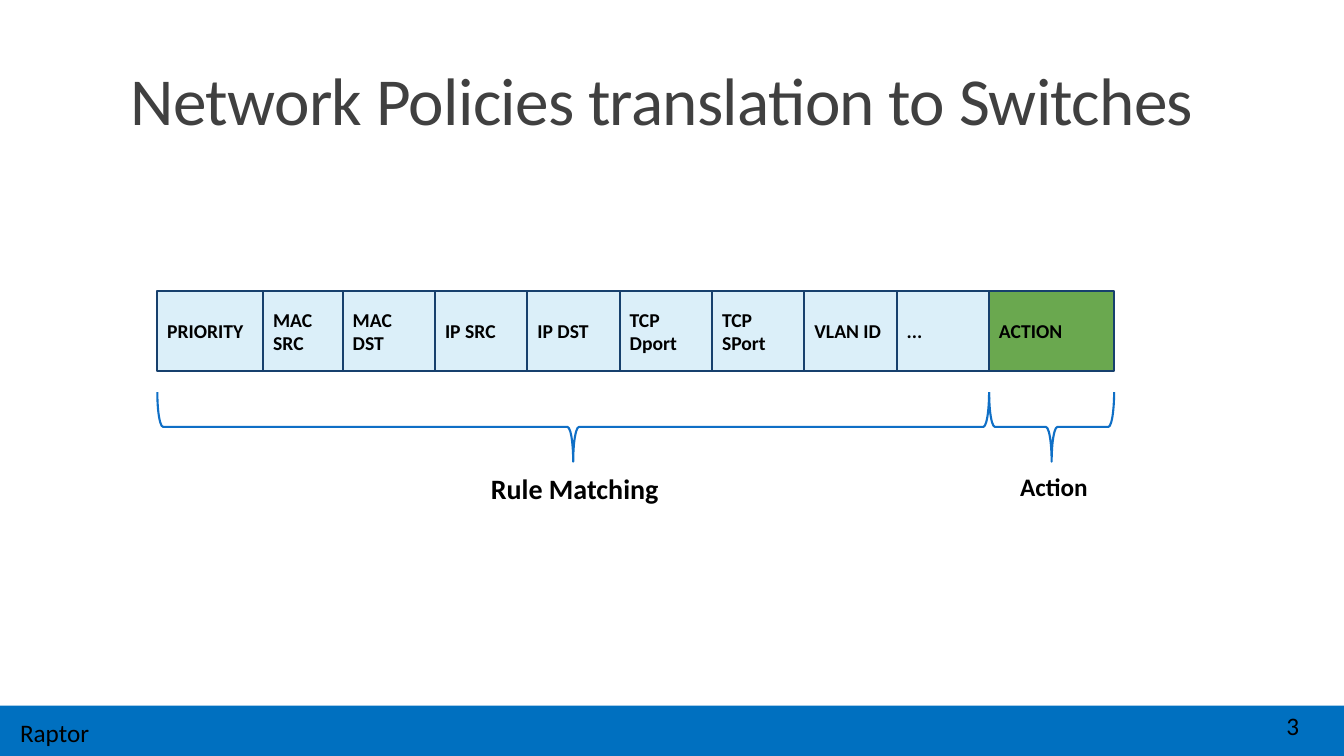
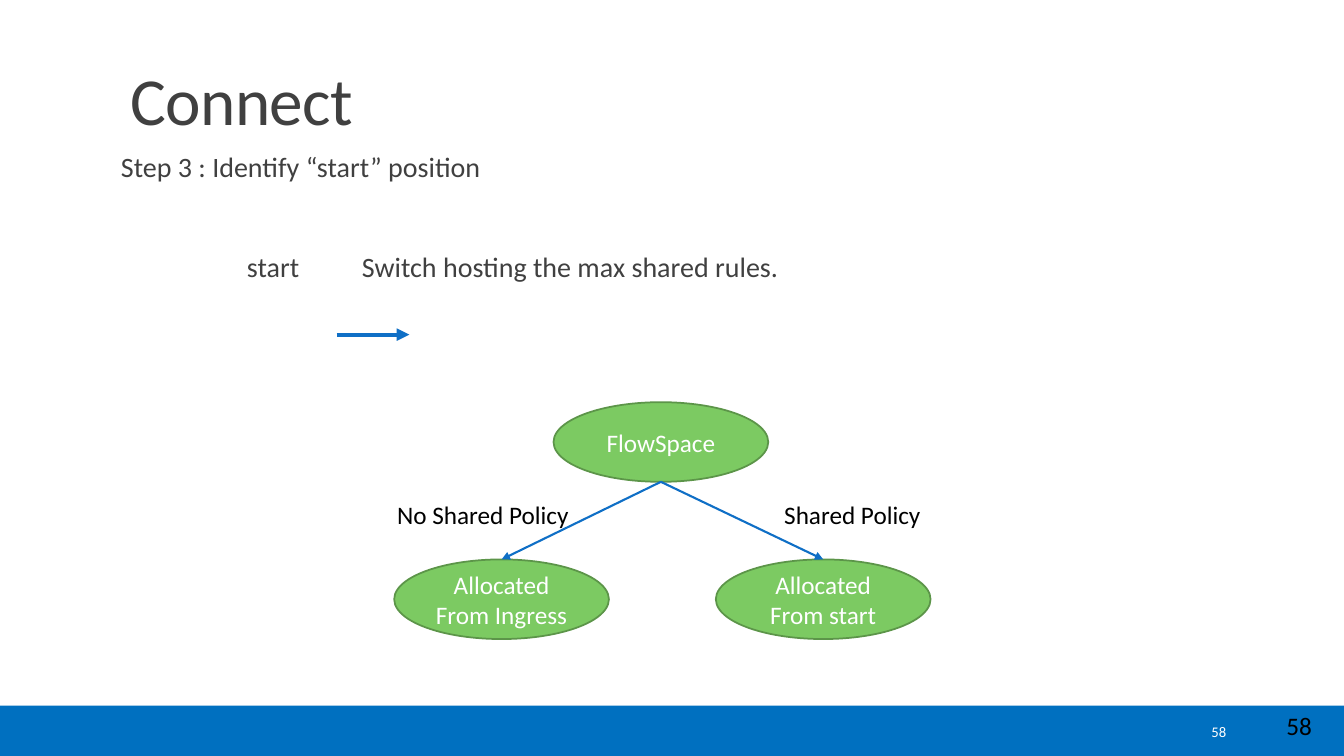
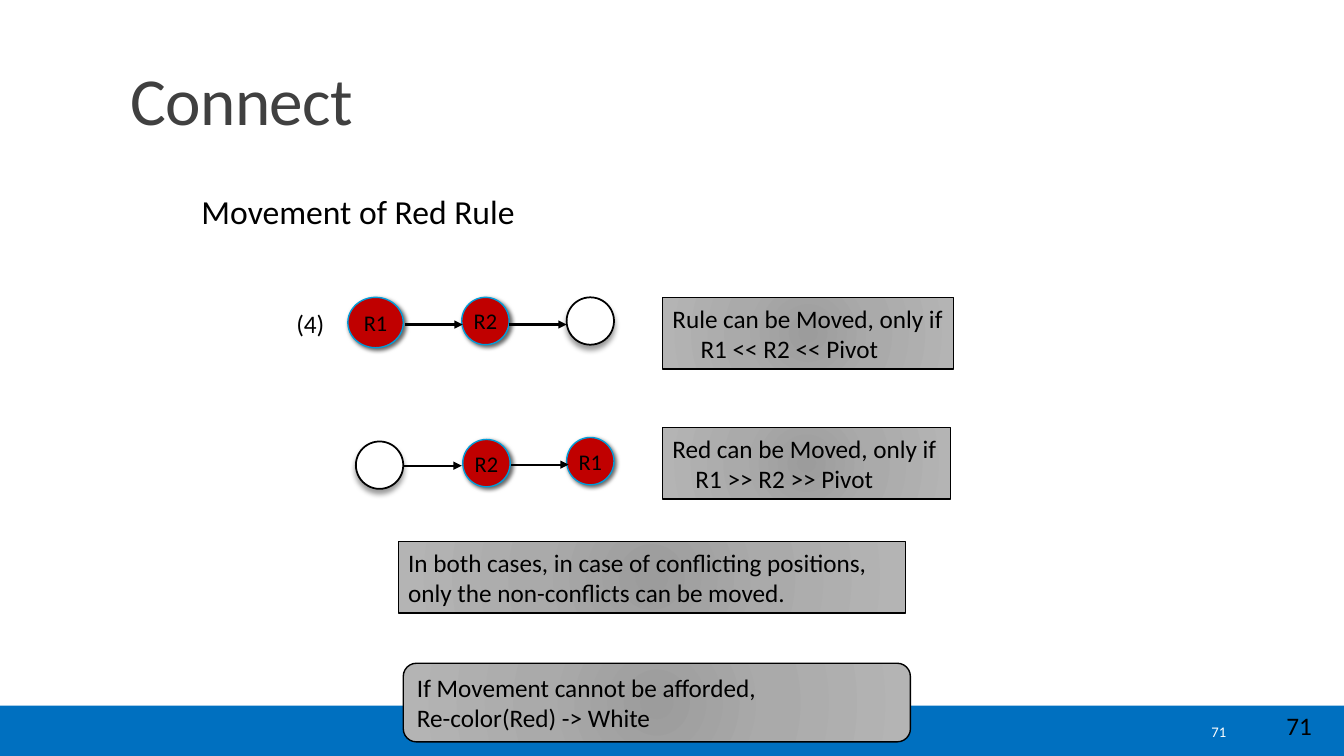
from pptx import Presentation
from pptx.dml.color import RGBColor
from pptx.enum.shapes import MSO_CONNECTOR, MSO_SHAPE
from pptx.enum.text import MSO_ANCHOR, PP_ALIGN
from pptx.oxml import parse_xml
from pptx.oxml.ns import nsdecls, qn
from pptx.util import Inches, Pt

# ---- Shared style ----
FONT = "Calibri"
COLORS = {
    "band": "0070C0", "title": "404040", "black": "000000", "white": "FFFFFF",
    "field": "DBEFF9", "action": "6AA84F", "field_line": "17406D", "blue": "0F6FC6",
    "node": "7CCA62", "node_line": "5C9549", "red": "C00000", "red_line": "009DD9",
}
NOTE_STOPS = [(0, "9C9C9C"), (45, "AAAAAA"), (100, "B4B4B4")]
# Shadow: opacity in percent, blur and distance in points, direction in degrees
RED_RULE = {"fill": "red", "line": "red_line", "width": 1, "shadow": (60, 3, 2, 45)}
WHITE_RULE = {"fill": "white", "line": "black", "width": 1.25, "shadow": (40, 4, 3, 90)}
MIDDLE = MSO_ANCHOR.MIDDLE
CENTER = PP_ALIGN.CENTER

# ---- Content: header fields ----
FIELD_LEFT, FIELD_TOP, FIELD_HEIGHT = 1.56, 2.89, 0.79
MATCH_RIGHT, ACTION_WIDTH = 9.81, 1.24
FIRST_WIDTHS = [1.05, 0.79]
MATCH_FIELDS = ["PRIORITY", "MAC SRC", "MAC DST", "IP SRC", "IP DST",
                "TCP Dport", "TCP SPort", "VLAN ID", "..."]
BRACES = [  # left, width, label, label left, size
    (FIELD_LEFT, MATCH_RIGHT - FIELD_LEFT, "Rule Matching", 4.77, 20),
    (MATCH_RIGHT, ACTION_WIDTH, "Action", 10.02, 18),
]
BRACE_TOP, BRACE_DEPTH = 3.89, 0.69

# ---- Content: allocation tree ----
NODE_SIZE = (2.13, 0.79)
ROOT = ("FlowSpace", 5.49, 3.99)
BRANCHES = [  # node, left, top, edge label, label left, label width
    ("Allocated From Ingress", 3.91, 5.55, "No Shared Policy", 3.84, 1.92),
    ("Allocated From start", 7.1, 5.55, "Shared Policy", 7.68, 1.57),
]

# ---- Content: rule movement ----
RULES = [  # label, style, left, top, width, height
    ("R1", RED_RULE, 3.45, 2.95, 0.55, 0.5),
    ("R2", RED_RULE, 4.58, 2.95, 0.47, 0.47),
    ("", WHITE_RULE, 5.62, 2.95, 0.47, 0.47),
    ("", WHITE_RULE, 3.53, 4.38, 0.47, 0.47),
    ("R2", RED_RULE, 4.59, 4.36, 0.47, 0.47),
    ("R1", RED_RULE, 5.62, 4.34, 0.47, 0.47),
]
MOVES = [(4.02, 3.22), (5.05, 3.22), (4.01, 4.62), (5.07, 4.61)]
MOVE_LENGTH = 0.57
NOTES = [  # shape, place, lines, indent of the second line, wrap
    (MSO_SHAPE.RECTANGLE, (6.57, 2.95, 2.89, 0.71),
     ["Rule can be Moved, only if", "R1 << R2 << Pivot"], 0.28, False),
    (MSO_SHAPE.RECTANGLE, (6.57, 4.24, 2.86, 0.71),
     ["Red can be Moved, only if", "R1 >> R2 >> Pivot"], 0.23, False),
    (MSO_SHAPE.RECTANGLE, (3.95, 5.37, 5.03, 0.71),
     ["In both cases, in case of conflicting positions,",
      "only the non-conflicts can be moved."], 0, True),
    (MSO_SHAPE.ROUNDED_RECTANGLE, (4, 6.58, 5.03, 0.78),
     ["If Movement cannot be afforded,", "Re-color(Red) -> White"], 0, True),
]


def rgb(name):
    return RGBColor.from_string(COLORS[name])


def write(box, lines, size=18, color="black", bold=False, align=PP_ALIGN.LEFT,
          anchor=MSO_ANCHOR.TOP, wrap=True, margins=(0.1, 0.05), **spacing):
    """Fill a box with one paragraph per line and return the paragraphs."""
    frame = box.text_frame
    frame.word_wrap, frame.vertical_anchor = wrap, anchor
    frame.margin_left = frame.margin_right = Inches(margins[0])
    frame.margin_top = frame.margin_bottom = Inches(margins[1])
    for index, line in enumerate(lines):
        para = frame.paragraphs[0] if index == 0 else frame.add_paragraph()
        para.alignment = align
        for name, value in spacing.items():
            setattr(para, name, value)
        span = para.add_run()
        span.text = line
        span.font.color.rgb = rgb(color)
        for name, value in {"name": FONT, "size": Pt(size), "bold": bold}.items():
            setattr(span.font, name, value)
    return frame.paragraphs


def add_text(page, place, lines, **style):
    return write(page.shapes.add_textbox(*map(Inches, place)), lines, **style)


def add_box(page, kind, place, fill=None, line=None, width=1, shadow=None):
    box = page.shapes.add_shape(kind, *map(Inches, place))
    box.shadow.inherit = False
    if fill:
        box.fill.solid()
        box.fill.fore_color.rgb = rgb(fill)
    else:
        box.fill.background()
    if line:
        box.line.color.rgb = rgb(line)
        box.line.width = Pt(width)
    else:
        box.line.fill.background()
    if shadow:
        opacity, blur, distance, angle = shadow
        box._element.spPr.find(qn("a:effectLst")).append(parse_xml(
            f'<a:outerShdw {nsdecls("a")} blurRad="{Pt(blur)}" dist="{Pt(distance)}" '
            f'dir="{angle * 60000}" algn="ctr" rotWithShape="0">'
            f'<a:srgbClr val="{COLORS["black"]}"><a:alpha val="{opacity * 1000}"/>'
            f'</a:srgbClr></a:outerShdw>'))
    return box


def add_arrow(page, start, end, color, width):
    arrow = page.shapes.add_connector(
        MSO_CONNECTOR.STRAIGHT, *map(Inches, (*start, *end)))
    arrow.line.color.rgb = rgb(color)
    arrow.line.width = Pt(width)
    arrow.line._get_or_add_ln().append(
        parse_xml(f'<a:tailEnd {nsdecls("a")} type="triangle"/>'))
    arrow._element.spPr.append(parse_xml(f'<a:effectLst {nsdecls("a")}/>'))
    return arrow


def set_indent(para, left, first=0):
    properties = para._p.get_or_add_pPr()
    properties.set("marL", str(Inches(left)))
    properties.set("indent", str(Inches(first)))


def shade(box):
    """Give a note its radial grey gradient."""
    stops = "".join(f'<a:gs pos="{place * 1000}"><a:srgbClr val="{color}"/></a:gs>'
                    for place, color in NOTE_STOPS)
    sides = " ".join(f'{side}="100000"' for side in "ltrb")
    properties = box._element.spPr
    properties.replace(properties.find(qn("a:solidFill")), parse_xml(
        f'<a:gradFill {nsdecls("a")} rotWithShape="1"><a:gsLst>{stops}</a:gsLst>'
        f'<a:path path="circle"><a:fillToRect {sides}/></a:path></a:gradFill>'))


def add_page(deck, title, number, small_number=True):
    """Start a slide with its band, title and numbers."""
    page = deck.slides.add_slide(deck.slide_layouts[6])
    add_box(page, MSO_SHAPE.RECTANGLE, (0, 7, 13.33, 0.5), "band")
    add_text(page, (12.66, 7, 0.57, 0.4), [number])
    heading = add_text(page, (1.2, 0.31, 11, 1.12), [title], size=48, color="title",
                       anchor=MSO_ANCHOR.BOTTOM, line_spacing=0.85)
    heading[0].runs[0]._r.get_or_add_rPr().set("spc", "-50")
    if small_number:
        add_text(page, (10.83, 7.06, 1.43, 0.4), [number], size=10.5, color="white",
                 align=PP_ALIGN.RIGHT, anchor=MIDDLE)
    return page


def build_fields(deck):
    page = add_page(deck, "Network Policies translation to Switches", "3", False)
    regular_count = len(MATCH_FIELDS) - len(FIRST_WIDTHS)
    regular = (MATCH_RIGHT - FIELD_LEFT - sum(FIRST_WIDTHS)) / regular_count
    widths = FIRST_WIDTHS + [regular] * regular_count + [ACTION_WIDTH]
    left = FIELD_LEFT
    for label, width in zip(MATCH_FIELDS + ["ACTION"], widths):
        fill = "action" if label == "ACTION" else "field"
        box = add_box(page, MSO_SHAPE.RECTANGLE, (left, FIELD_TOP, width, FIELD_HEIGHT),
                      fill, "field_line", 1.5)
        write(box, [label], size=14, bold=True, anchor=MIDDLE, margins=(0.1, 0.1))
        left += width

    # Braces are turned a quarter, so their frames are set around the centre
    for left, width, label, label_left, size in BRACES:
        place = (left + (width - BRACE_DEPTH) / 2, BRACE_TOP + (BRACE_DEPTH - width) / 2,
                 BRACE_DEPTH, width)
        brace = add_box(page, MSO_SHAPE.RIGHT_BRACE, place, line="blue", width=1.5)
        brace.rotation = 90
        add_text(page, (label_left, BRACE_TOP + BRACE_DEPTH, 2.06, 0.68), [label],
                 size=size, bold=True, margins=(0.1, 0.1))
    add_text(page, (0.1, 7.07, 0.89, 0.4), ["Raptor"], wrap=False)


def add_node(page, label, left, top):
    node = add_box(page, MSO_SHAPE.OVAL, (left, top, *NODE_SIZE),
                   "node", "node_line", 1.25)
    write(node, [label], color="white", align=CENTER, anchor=MIDDLE)
    return node


def build_tree(deck):
    page = add_page(deck, "Connect", "58")
    step, start = add_text(
        page, (1.2, 1.47, 11, 4.95),
        ["Step 3 : Identify “start” position", "start\tSwitch hosting the max shared rules."],
        size=20, color="title", margins=(0, 0.05), line_spacing=0.9, space_after=Pt(2))
    start.space_before = Pt(48)
    set_indent(start, 2.39, -1.14)
    add_arrow(page, (3.34, 3.32), (4.06, 3.32), "blue", 3)

    add_node(page, *ROOT)
    width, height = NODE_SIZE
    root_bottom = (ROOT[1] + width / 2, ROOT[2] + height)
    for label, left, top, edge_label, label_left, label_width in BRANCHES:
        node = add_node(page, label, left, top)
        edge = add_arrow(page, root_bottom, (left + width / 2, top), "blue", 1.5)
        edge.end_connect(node, 0)
        add_text(page, (label_left, 4.9, label_width, 0.4), [edge_label], wrap=False)


def build_movement(deck):
    page = add_page(deck, "Connect", "71")
    add_text(page, (1.9, 1.76, 6.69, 4.02), ["Movement of Red Rule"], size=24,
             line_spacing=1.2)
    add_text(page, (2.84, 3.01, 0.48, 0.4), ["(4)"], wrap=False)
    for label, style, *place in RULES:
        rule = add_box(page, MSO_SHAPE.OVAL, place, **style)
        if label:
            write(rule, [label], size=16, align=CENTER, anchor=MIDDLE, wrap=False,
                  margins=(0, 0))
    for left, top in MOVES:
        add_arrow(page, (left, top), (left + MOVE_LENGTH, top), "black", 1.5)
    for kind, place, lines, indent, wrap in NOTES:
        note = add_box(page, kind, place, "white", "black", 1)
        shade(note)
        paras = write(note, lines, anchor=MIDDLE, wrap=wrap)
        set_indent(paras[1], indent)


def main():
    deck = Presentation()
    deck.slide_width, deck.slide_height = Inches(13.33), Inches(7.5)
    for build in (build_fields, build_tree, build_movement):
        build(deck)
    deck.save("out.pptx")


if __name__ == "__main__":
    main()
